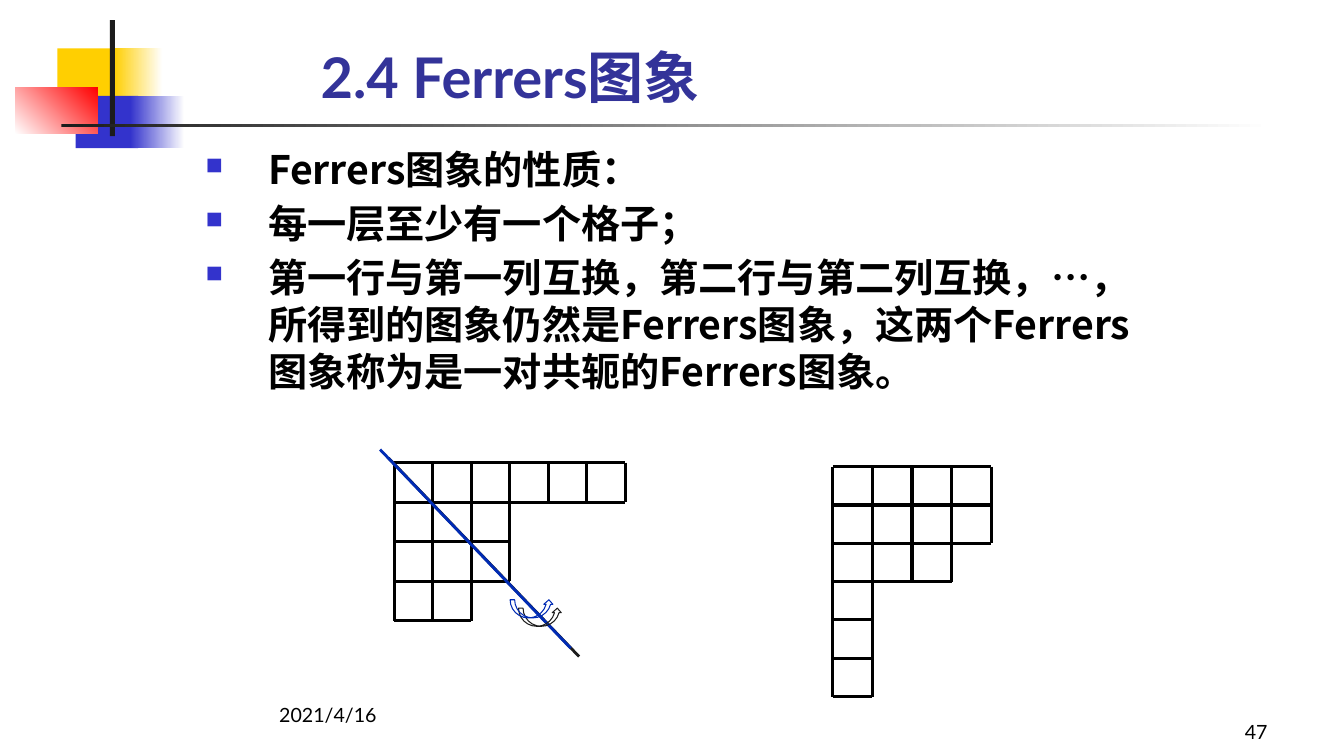
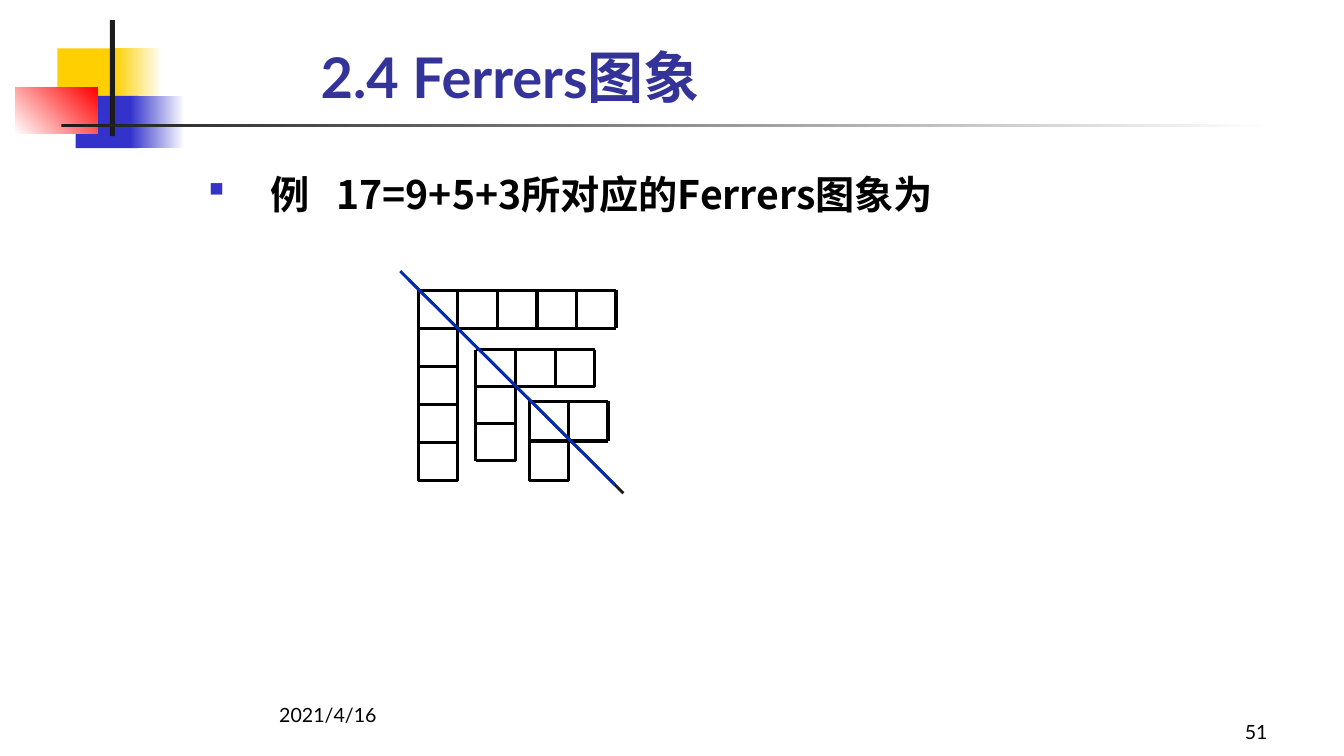
"""Build two slides on the properties of Ferrers diagrams."""
from lxml import etree
from pptx import Presentation
from pptx import util as u
from pptx.dml.color import RGBColor
from pptx.enum import shapes, text
from pptx.oxml.ns import qn

BLACK = RGBColor(0, 0, 0)
WHITE = RGBColor(0xFF, 0xFF, 0xFF)
CHARCOAL = RGBColor(0x1C, 0x1C, 0x1C)
YELLOW = RGBColor(0xFF, 0xCF, 0x01)
RED = RGBColor(0xFF, 0, 0)
BLUE = RGBColor(0x33, 0x33, 0xCC)
TITLE_BLUE = RGBColor(0x33, 0x33, 0x99)
AXIS_BLUE = RGBColor(0, 0x2B, 0xB4)
LATIN_FONT = "Lato"
BODY_FONT = "Noto Sans CJK SC"
SERIF_FONT = "Times New Roman"
INDENT = u.Inches(0.62)


def add_run(paragraph, words, font_name, size, color, bold=False):
    run = paragraph.add_run()
    run.text = words
    run.font.name = font_name
    run.font.size = u.Pt(size)
    run.font.bold = bold
    run.font.color.rgb = color
    latin = run.font._element.find(qn("a:latin"))
    latin.addnext(latin.makeelement(qn("a:ea"), {"typeface": BODY_FONT}))


def add_line(slide, start, end, color=BLACK, width=2.25):
    line = slide.shapes.add_connector(
        shapes.MSO_CONNECTOR.STRAIGHT, *(u.Inches(value) for value in (*start, *end)))
    line.line.color.rgb = color
    line.line.width = u.Pt(width)
    etree.SubElement(line.element.spPr, qn("a:effectLst"))
    return line


presentation = Presentation()
presentation.slide_width = u.Inches(13.33)
presentation.slide_height = u.Inches(7.5)
layout = presentation.slide_layouts[5]

DECORATIONS = [
    ((0.57, 0.48, 0.64, 0.52), [YELLOW], 0),
    ((1.13, 0.48, 0.48, 0.52), [YELLOW, WHITE], 0),
    ((0.75, 0.95, 0.62, 0.52), [BLUE], 0),
    ((1.29, 0.95, 0.54, 0.52), [BLUE, WHITE], 0),
    ((0.15, 0.87, 0.82, 0.46), [WHITE, RED], 45),
    ((1.09, 0.2, 0.05, 1.15), [CHARCOAL], 0),
    ((0.61, 1.23, 12, 0.03), [CHARCOAL, WHITE], 0),
]
SLIDES = [
    {
        "number": "47",
        "body": (1.94, 1.39, 9.43, 5.51),
        "bullet": ("n", "60000"),
        "paragraphs": [
            [("Ferrers图象的性质：", BODY_FONT)],
            [("每一层至少有一个格子；", BODY_FONT)],
            [("第一行与第一列互换，第二行与第二列互换，", BODY_FONT),
             ("…", SERIF_FONT),
             ("，所得到的图象仍然是Ferrers图象，这两个Ferrers图象称为是一对共轭的Ferrers图象。",
              BODY_FONT)],
        ],
        "diagrams": [
            ((3.91, 4.59, 2.29, 1.57), [6, 3, 3, 2]),
            ((8.26, 4.63, 1.57, 2.28), [4, 4, 3, 1, 1, 1]),
        ],
        "axis": ((3.77, 4.46), (5.66, 6.43)),
        "arrow": (5.06, 5.95, 0.43, 0.18),
    },
    {
        "number": "51",
        "body": (1.96, 1.64, 9.21, 5.11),
        "bullet": ("§", "100000"),
        "paragraphs": [[("例\t17=9+5+3所对应的Ferrers图象为", BODY_FONT)]],
        "diagrams": [
            ((4.15, 2.88, 1.96, 1.89), [5, 1, 1, 1, 1]),
            ((4.72, 3.47, 1.18, 1.1), [3, 1, 1]),
            ((5.25, 3.98, 0.78, 0.79), [2, 1]),
        ],
        "axis": ((3.97, 2.69), (6.1, 4.81)),
        "arrow": None,
    },
]

for index, content in enumerate(SLIDES):
    slide = presentation.slides.add_slide(layout)

    if index == 0:
        for box, colors, angle in DECORATIONS:
            shape = slide.shapes.add_shape(
                shapes.MSO_SHAPE.RECTANGLE, *(u.Inches(value) for value in box))
            shape.shadow.inherit = False
            shape.line.fill.background()
            if len(colors) == 1:
                shape.fill.solid()
                shape.fill.fore_color.rgb = colors[0]
            else:
                shape.fill.gradient()
                shape.fill.gradient_angle = angle
                for stop, color in zip(shape.fill.gradient_stops, colors):
                    stop.color.rgb = color
            layout.shapes.element.append(shape.element)

    title = slide.shapes.title
    title.left, title.top = u.Inches(3.08), u.Inches(0.17)
    title.width, title.height = u.Inches(6.98), u.Inches(0.97)
    title.text_frame.auto_size = text.MSO_AUTO_SIZE.NONE
    title.text_frame.vertical_anchor = text.MSO_ANCHOR.BOTTOM
    paragraph = title.text_frame.paragraphs[0]
    paragraph.alignment = text.PP_ALIGN.LEFT
    add_run(paragraph, "2.4 Ferrers图象", LATIN_FONT, 40, TITLE_BLUE, True)

    for words, left, width, alignment, anchor in [
        ("2021/4/16", 2.67, 2.08, text.PP_ALIGN.LEFT, text.MSO_ANCHOR.TOP),
        (content["number"], 9.89, 2.78, text.PP_ALIGN.RIGHT, text.MSO_ANCHOR.BOTTOM),
    ]:
        footer = slide.shapes.add_textbox(
            u.Inches(left), u.Inches(6.92), u.Inches(width), u.Inches(0.5))
        footer.text_frame.word_wrap = True
        footer.text_frame.vertical_anchor = anchor
        paragraph = footer.text_frame.paragraphs[0]
        paragraph.alignment = alignment
        add_run(paragraph, words, LATIN_FONT, 14, BLACK)

    body = slide.shapes.add_textbox(*(u.Inches(value) for value in content["body"]))
    frame = body.text_frame
    frame.word_wrap = True
    character, bullet_size = content["bullet"]
    for position, runs in enumerate(content["paragraphs"]):
        paragraph = frame.add_paragraph() if position else frame.paragraphs[0]
        properties = paragraph._p.get_or_add_pPr()
        properties.set("marL", str(INDENT))
        properties.set("indent", str(-INDENT))
        bullet_color = etree.SubElement(properties, qn("a:buClr"))
        etree.SubElement(bullet_color, qn("a:srgbClr"), val=str(BLUE))
        etree.SubElement(properties, qn("a:buSzPct"), val=bullet_size)
        etree.SubElement(properties, qn("a:buFont"), typeface="Wingdings", charset="2")
        etree.SubElement(properties, qn("a:buChar"), char=character)
        if any("\t" in words for words, _ in runs):
            tabs = etree.SubElement(properties, qn("a:tabLst"))
            etree.SubElement(tabs, qn("a:tab"), pos=str(u.Inches(1.28)), algn="l")
        if position:
            paragraph.space_before = u.Pt(5)
        for words, font_name in runs:
            add_run(paragraph, words, font_name, 28, BLACK, True)

    for (left, top, width, height), rows in content["diagrams"]:
        column_width, row_height = width / rows[0], height / len(rows)
        for row, cells in enumerate([rows[0], *rows]):
            y = top + row * row_height
            add_line(slide, (left, y), (left + cells * column_width, y))
        for column in range(rows[0] + 1):
            depth = sum(cells >= column for cells in rows)
            x = left + column * column_width
            add_line(slide, (x, top), (x, top + depth * row_height))

    shadowed = [add_line(slide, *content["axis"], AXIS_BLUE, 0)]
    if content["arrow"]:
        arrow = slide.shapes.add_shape(
            shapes.MSO_SHAPE.CURVED_UP_ARROW, *(u.Inches(value) for value in content["arrow"]))
        arrow.fill.background()
        arrow.line.color.rgb = AXIS_BLUE
        arrow.line.width = u.Pt(0)
        arrow.shadow.inherit = False
        shadowed.append(arrow)
    for shape in shadowed:
        effects = shape.element.spPr.find(qn("a:effectLst"))
        shadow = etree.SubElement(
            effects, qn("a:outerShdw"), dist=str(u.Pt(8.5)), dir="2700000", algn="ctr")
        etree.SubElement(shadow, qn("a:srgbClr"), val=str(CHARCOAL))

presentation.save("out.pptx")
